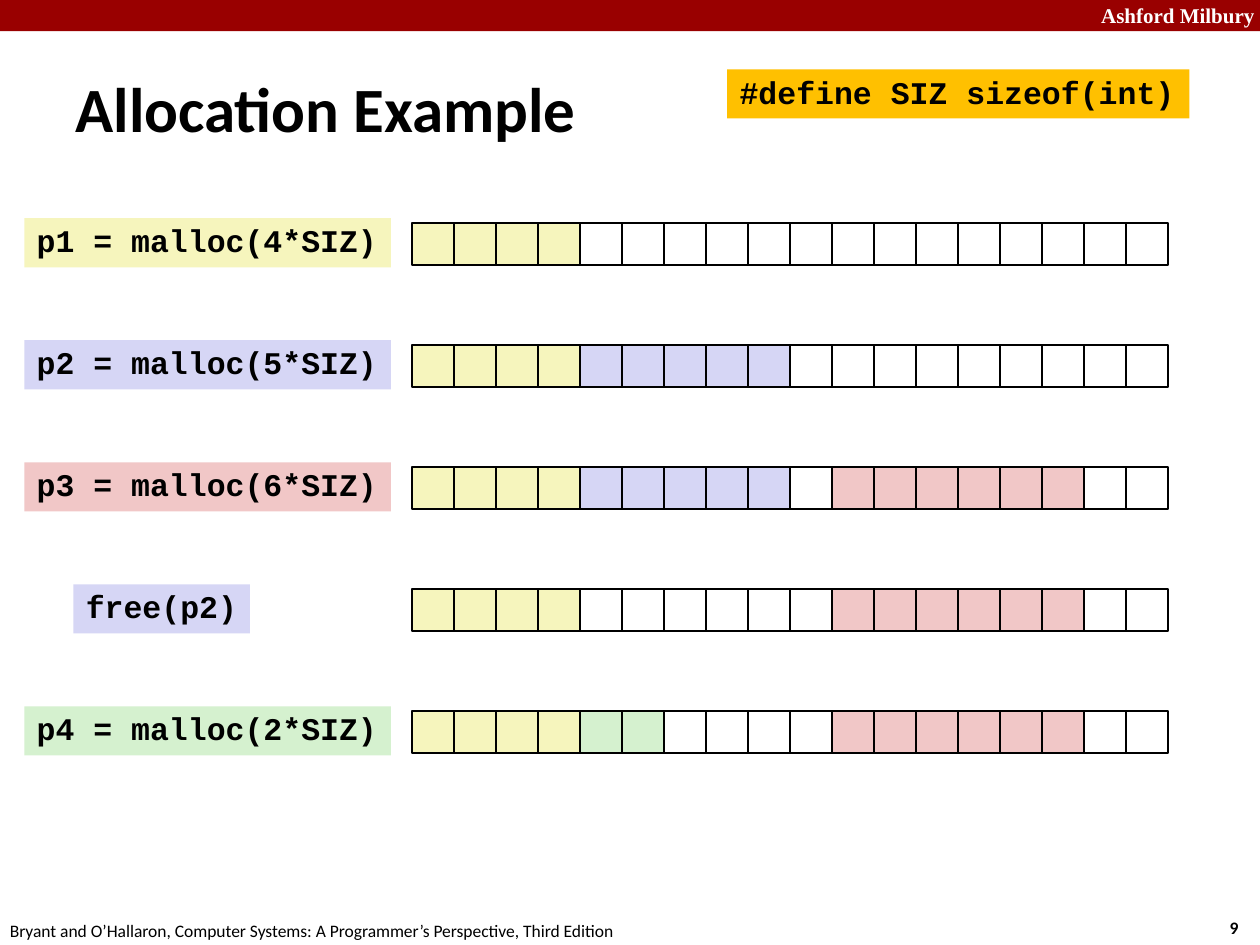
from dataclasses import dataclass

from pptx import Presentation
from pptx.dml.color import RGBColor as Rgb
from pptx.enum.shapes import MSO_SHAPE as Preset
from pptx.enum.text import MSO_ANCHOR as Anchor, PP_ALIGN as Align
from pptx.util import Cm, Pt


@dataclass(frozen=True)
class Theme:
    """Colours, fonts and type sizes in one place."""
    ink: str = "000000"
    white: str = "FFFFFF"
    banner: str = "990000"
    macro: str = "FFC000"
    p1: str = "F6F5BD"
    p2: str = "D6D6F5"
    p3: str = "F1C7C7"
    p4: str = "D5F1CF"
    body_font: str = "Calibri"
    code_font: str = "Courier New"
    banner_font: str = "Times New Roman"
    title_size: int = 36
    code_size: int = 18
    banner_size: int = 12
    footer_size: int = 10


def assign(target, values):
    for name, value in values.items():
        setattr(target, name, value)


class SlideBuilder:
    def __init__(self, slide, theme):
        self.slide, self.theme = slide, theme

    def set_text(self, frame, text, font, size, color, bold=True, spacing=None):
        frame.text = text
        paragraph = frame.paragraphs[0]
        assign(paragraph, {"alignment": Align.LEFT, "line_spacing": spacing})
        assign(paragraph.font, {"name": font, "size": Pt(size), "bold": bold})
        paragraph.font.color.rgb = Rgb.from_string(color)

    def title(self, text, left, top, width, height):
        title = self.slide.shapes.title
        assign(title, {"left": Cm(left), "top": Cm(top),
                       "width": Cm(width), "height": Cm(height)})
        title.text_frame.vertical_anchor = Anchor.MIDDLE
        self.set_text(title.text_frame, text, self.theme.body_font,
                      self.theme.title_size, self.theme.ink)

    def rect(self, left, top, width, height, fill=None, outlined=False, parent=None):
        shapes = (parent or self.slide).shapes
        rect = shapes.add_shape(Preset.RECTANGLE, Cm(left), Cm(top), Cm(width), Cm(height))
        rect.shadow.inherit = False
        if fill:
            rect.fill.solid()
            rect.fill.fore_color.rgb = Rgb.from_string(fill)
        else:
            rect.fill.background()
        if outlined:
            rect.line.color.rgb = Rgb.from_string(self.theme.ink)
            rect.line.width = Pt(1)
        else:
            rect.line.fill.background()
        return rect

    def label(self, text, left, top, width, height, font, size, color, bold=True):
        box = self.slide.shapes.add_textbox(Cm(left), Cm(top), Cm(width), Cm(height))
        box.text_frame.word_wrap = False
        self.set_text(box.text_frame, text, font, size, color, bold)

    def code(self, text, left, top, width, fill):
        frame = self.rect(left, top, width, 0.99, fill).text_frame
        assign(frame, {"word_wrap": False, "vertical_anchor": Anchor.TOP})
        self.set_text(frame, text, self.theme.code_font, self.theme.code_size,
                      self.theme.ink, spacing=0.94)

    def heap(self, blocks, left, top, cell):
        """Draw one strip of memory words from (colour, word count) blocks."""
        strip = self.slide.shapes.add_group_shape()
        words = [color for color, count in blocks for _ in range(count)]
        for index, color in enumerate(words):
            self.rect(left + index * cell, top, cell, cell, color, True, strip)


def main():
    theme = Theme()
    deck = Presentation()
    assign(deck, {"slide_width": Cm(25.4), "slide_height": Cm(19.05)})
    page = SlideBuilder(deck.slides.add_slide(deck.slide_layouts[5]), theme)

    # Banner and footer
    page.rect(0, 0, 25.4, 0.63, theme.banner)
    page.label("Ashford Milbury", 21.95, -0.08, 3.62, 0.76,
               theme.banner_font, theme.banner_size, theme.white)
    page.label("9", 24.54, 18.36, 0.94, 0.69,
               theme.body_font, theme.footer_size, theme.ink)
    page.label("Bryant and O’Hallaron, Computer Systems: A Programmer’s Perspective, "
               "Third Edition", -0.05, 18.42, 12.9, 0.69,
               theme.body_font, theme.footer_size, theme.ink, bold=False)

    # Heading and macro
    page.title("Allocation Example", 1.27, 1.37, 17.96, 1.6)
    page.code("#define SIZ sizeof(int)", 14.66, 1.4, 9.32, theme.macro)

    # Each call with the heap it leaves behind
    free = theme.white
    first, second, third = (theme.p1, 4), (theme.p2, 5), (theme.p3, 6)
    padding = (None, 1)
    tail = [padding, third, (free, 2)]
    steps = [
        ("p1 = malloc(4*SIZ)", theme.p1, [first, (free, 14)]),
        ("p2 = malloc(5*SIZ)", theme.p2, [first, second, (free, 9)]),
        ("p3 = malloc(6*SIZ)", theme.p3, [first, second, *tail]),
        ("free(p2)", theme.p2, [first, (free, 5), *tail]),
        ("p4 = malloc(2*SIZ)", theme.p4, [first, (theme.p4, 2), (free, 3), *tail]),
    ]
    row_pitch, cell = 2.46, 15.24 / 18
    for row, (call, color, blocks) in enumerate(steps):
        left, width = (1.48, 3.56) if call.startswith("free") else (0.49, 7.39)
        page.code(call, left, 4.4 + row * row_pitch, width, color)
        page.heap(blocks, 8.31, 4.49 + row * row_pitch, cell)

    deck.save("out.pptx")


if __name__ == "__main__":
    main()
